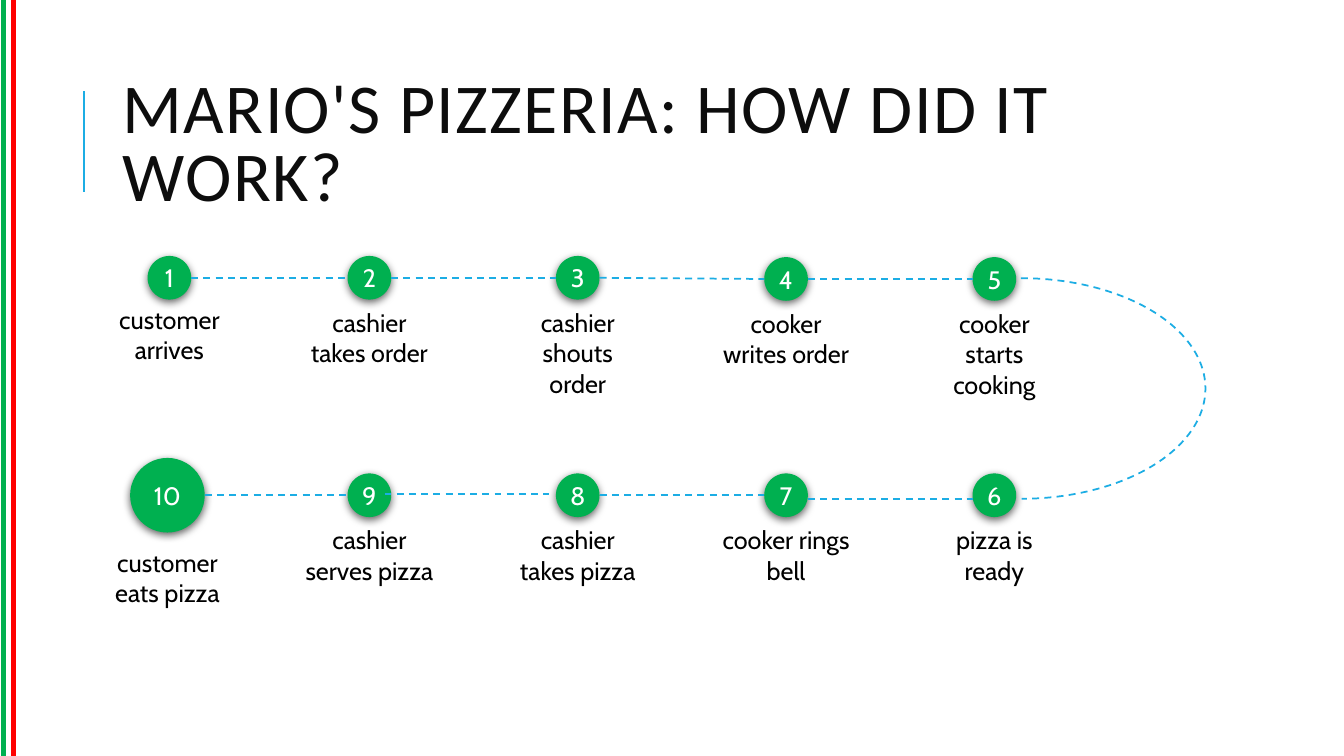
"""Build the ten-step pizzeria process slide."""
import itertools

import pptx
import pptx.dml.color
import pptx.enum.dml
import pptx.enum.shapes
import pptx.enum.text
import pptx.oxml
import pptx.util

Cm = pptx.util.Cm
Pt = pptx.util.Pt
ANCHOR = pptx.enum.text.MSO_ANCHOR
ALIGN = pptx.enum.text.PP_ALIGN
AUTO = pptx.enum.text.MSO_AUTO_SIZE
SHAPE = pptx.enum.shapes.MSO_SHAPE
DASH = pptx.enum.dml.MSO_LINE.DASH
NS = 'xmlns:a="http://schemas.openxmlformats.org/drawingml/2006/main"'
SHADOW = (f'<a:outerShdw {NS} blurRad="76200" dist="25400" dir="5400000">'
          '<a:srgbClr val="000000"><a:alpha val="60000"/></a:srgbClr></a:outerShdw>')

GREEN, RED, BLUE = "00B050", "FF0000", "1CADE4"


def rgb(value):
    return pptx.dml.color.RGBColor.from_string(value)


def write(sp, text, size, font, color, para_format, frame_format):
    tf = sp.text_frame
    for name, value in frame_format.items():
        setattr(tf, name, value)
    p = tf.paragraphs[0]
    for name, value in para_format.items():
        setattr(p, name, value)
    r = p.add_run()
    r.text = text
    for name, value in {"size": Pt(size), "name": font}.items():
        setattr(r.font, name, value)
    r.font.color.rgb = rgb(color)
    return r


prs = pptx.Presentation()
prs.slide_width, prs.slide_height = Cm(33.87), Cm(19.05)
s = prs.slides.add_slide(prs.slide_layouts[6])

title = s.shapes.add_textbox(Cm(2.84), Cm(1.63), Cm(27), Cm(4.17))
r = write(title, "MARIO'S PIZZERIA: HOW DID IT WORK?", 50, "Calibri", "0D0D0D",
          {"line_spacing": 0.8},
          {"word_wrap": True, "vertical_anchor": ANCHOR.MIDDLE})
r.font._element.set("spc", "100")

column = [9.31 + 5.25 * i for i in range(4)]
steps = [
    ("customer arrives", 4.27, 7, 1.1, 7.54),
    ("cashier takes order", column[0], 7, 1.1, 7.62),
    ("cashier shouts order", column[1], 7, 1.1, 7.62),
    ("cooker writes order", column[2], 7.03, 1.1, 7.65),
    ("cooker starts cooking", column[3], 7.03, 1.1, 7.65),
    ("pizza is ready", column[3], 12.48, 1.1, 13.1),
    ("cooker rings bell", column[2], 12.48, 1.1, 13.1),
    ("cashier takes pizza", column[1], 12.48, 1.1, 13.1),
    ("cashier serves pizza", column[0], 12.48, 1.1, 13.1),
    ("customer eats pizza", 4.22, 12.48, 1.88, 13.67),
]
for number, (label, x, y, size, label_top) in enumerate(steps, 1):
    sp = s.shapes.add_shape(SHAPE.OVAL, Cm(x - size / 2), Cm(y - size / 2),
                            Cm(size), Cm(size))
    sp.shadow.inherit = False
    sp._element.spPr[-1].append(pptx.oxml.parse_xml(SHADOW))
    sp.fill.solid()
    sp.fill.fore_color.rgb = rgb(GREEN)
    sp.line.fill.background()
    write(sp, str(number), 18, "Cabin", "FFFFFF", {"alignment": ALIGN.CENTER},
          {"vertical_anchor": ANCHOR.MIDDLE, "margin_left": 0, "margin_right": 0,
           "margin_top": 0, "margin_bottom": 0})
    box = s.shapes.add_textbox(Cm(x - 1.87), Cm(label_top), Cm(3.74), Cm(1.8))
    write(box, label, 18, "Cabin", "000000", {"alignment": ALIGN.CENTER},
          {"word_wrap": True, "auto_size": AUTO.SHAPE_TO_FIT_TEXT})

lines = [
    (2.11, 4.83, 2.11, 2.29, BLUE, 1.5, None),
    (0.08, 0, 0.08, 19.05, GREEN, 3.5, None),
    (0.33, 0, 0.33, 19.05, RED, 3.5, None),
]
nudges = {6: (0, 0.09), 8: (-0.17, -0.03)}
for number, (start, end) in enumerate(itertools.pairwise(steps), 1):
    if number == 5:
        continue
    left, right = sorted((start, end), key=lambda step: step[1])
    dx, dy = nudges.get(number, (0, 0))
    lines.append((left[1] + left[3] / 2 + dx, left[2] + dy,
                  right[1] - right[3] / 2 + dx, right[2] + dy, BLUE, 1.25, DASH))

for x1, y1, x2, y2, color, width, dash in lines:
    line = s.shapes.add_connector(pptx.enum.shapes.MSO_CONNECTOR.STRAIGHT,
                                  Cm(x1), Cm(y1), Cm(x2), Cm(y2))
    line.line.color.rgb = rgb(color)
    for name, value in {"width": Pt(width), "dash_style": dash}.items():
        setattr(line.line, name, value)
    line._element.spPr.append(pptx.oxml.parse_xml(f"<a:effectLst {NS}/>"))

turn = s.shapes.add_shape(SHAPE.ARC, Cm(21.08), Cm(7.01), Cm(9.3), Cm(5.56))
turn.shadow.inherit = False
turn.adjustments[0], turn.adjustments[1] = 162, 53.81
turn.fill.background()
turn.line.color.rgb = rgb(BLUE)
for name, value in {"width": Pt(1.25), "dash_style": DASH}.items():
    setattr(turn.line, name, value)

prs.save("out.pptx")
